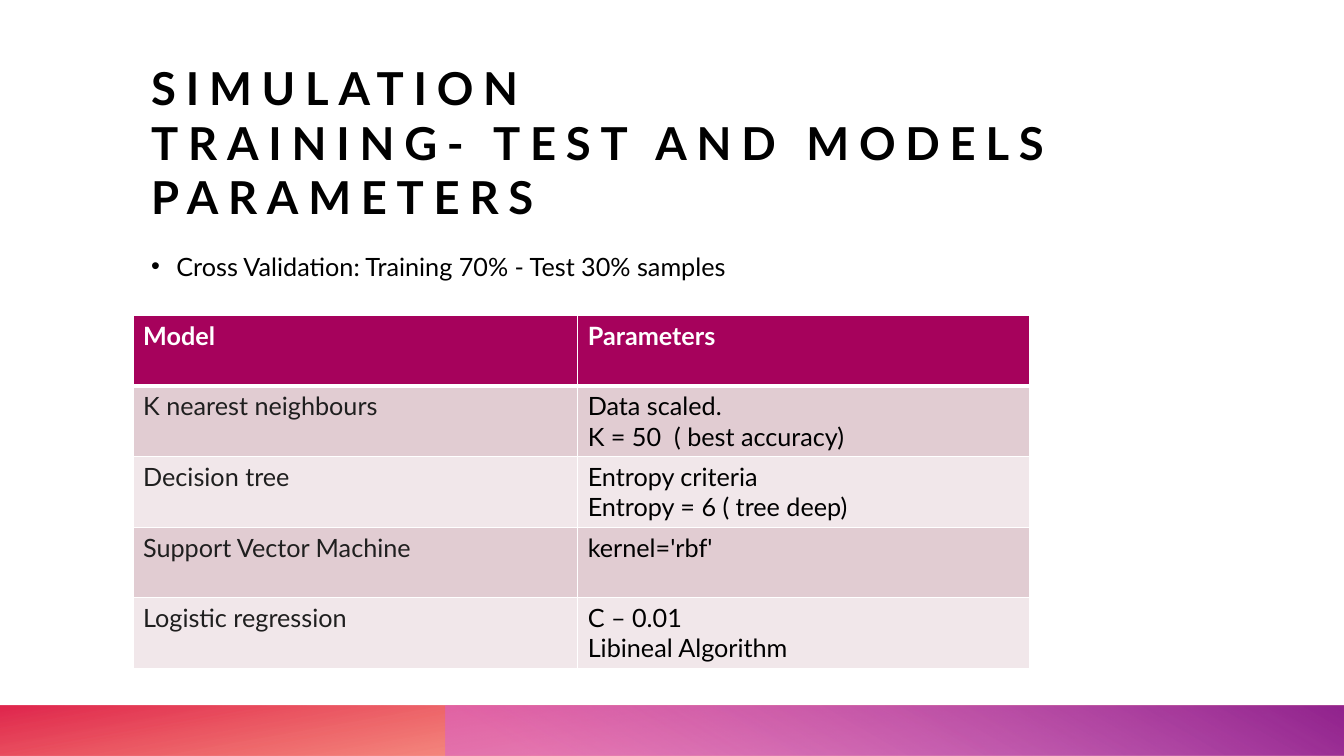
from lxml import etree
from pptx import Presentation
from pptx.dml.color import RGBColor
from pptx.enum import shapes, text
from pptx.oxml import ns
from pptx.util import Inches, Pt

# Content
TITLE = ["SIMULATION", "TRAINING- TEST AND MODELS PARAMETERS"]
BULLET = "Cross Validation: Training 70% - Test 30% samples"
ROWS = [
    ("Model", ["Parameters"]),
    ("K nearest neighbours", ["Data scaled.", "K = 50  ( best accuracy)"]),
    ("Decision tree", ["Entropy criteria", "Entropy = 6 ( tree deep)"]),
    ("Support Vector Machine", ["kernel='rbf'"]),
    ("Logistic regression", ["C – 0.01", "Libineal Algorithm"]),
]
COL_WIDTHS = [4.41, 4.48]
ROW_HEIGHT = 0.7
# Footer bands: left, width, rotation, angle, stops (position, colour, opacity)
BANDS = [
    (0, 13.33, 180, 100, [(14, "FE4A00", 28), (100, "DA002F", 85)]),
    (4.42, 8.92, 0, 240, [(9, "D861D4", 55), (99, "92248E", 100)]),
]

FONT = "Lato"
BLACK = RGBColor(0, 0, 0)
WHITE = RGBColor(0xFF, 0xFF, 0xFF)
DARK = RGBColor(0x1F, 0x1F, 0x1F)
HEADER = RGBColor(0xA6, 0x02, 0x5C)
STRIPES = [RGBColor(0xF1, 0xE7, 0xEA), RGBColor(0xE1, 0xCC, 0xD2)]


def sub(parent, tag, **attrs):
    return etree.SubElement(parent, ns.qn(tag), {k: str(v) for k, v in attrs.items()})


def add_run(p, words, size, color, bold=False):
    r = p.add_run()
    r.text = words
    r.font.name, r.font.size, r.font.bold = FONT, Pt(size), bold
    r.font.color.rgb = color
    return r


def clear_margins(tf):
    tf.word_wrap = True
    tf.margin_left = tf.margin_top = tf.margin_right = tf.margin_bottom = 0


def add_band(s, left, width, rotation, angle, stops):
    sp = s.shapes.add_shape(shapes.MSO_SHAPE.RECTANGLE, Inches(left), Inches(7),
                            Inches(width), Inches(0.5))
    sp.shadow.inherit = False
    sp.line.fill.background()
    sp.rotation = rotation
    sp_pr = sp._element.spPr
    sp_pr.find(ns.qn("a:xfrm")).set("flipH", "1")
    grad = etree.Element(ns.qn("a:gradFill"), rotWithShape="1")
    gs_list = sub(grad, "a:gsLst")
    for position, color, opacity in stops:
        gs = sub(gs_list, "a:gs", pos=position * 1000)
        sub(sub(gs, "a:srgbClr", val=color), "a:alpha", val=opacity * 1000)
    sub(grad, "a:lin", ang=angle * 60000, scaled=0)
    sp_pr.find(ns.qn("a:prstGeom")).addnext(grad)


def set_borders(cell, bottom):
    tc_pr = cell._tc.get_or_add_tcPr()
    widths = [("a:lnL", 1), ("a:lnR", 1), ("a:lnT", 1), ("a:lnB", bottom)]
    for i, (tag, width) in enumerate(widths):
        ln = etree.Element(ns.qn(tag), w=str(Pt(width)))
        sub(sub(ln, "a:solidFill"), "a:srgbClr", val=str(WHITE))
        tc_pr.insert(i, ln)


def main():
    prs = Presentation()
    prs.slide_width, prs.slide_height = Inches(13.33), Inches(7.5)
    s = prs.slides.add_slide(prs.slide_layouts[5])

    # Footer
    for band in BANDS:
        add_band(s, *band)

    # Title
    title = s.shapes.title
    title.left, title.top = Inches(1.5), Inches(0.87)
    title.width, title.height = Inches(11.2), Inches(1.35)
    tf = title.text_frame
    clear_margins(tf)
    tf.auto_size = text.MSO_AUTO_SIZE.NONE
    tf.vertical_anchor = text.MSO_ANCHOR.BOTTOM
    p = tf.paragraphs[0]
    p.alignment = text.PP_ALIGN.LEFT
    for i, line in enumerate(TITLE):
        if i:
            p.add_line_break()
        r = add_run(p, line, 32.4, BLACK, True)
        r.font._element.set("spc", "700")

    # Bullet
    box = s.shapes.add_textbox(Inches(1.5), Inches(2.43), Inches(11.2), Inches(0.5))
    clear_margins(box.text_frame)
    p = box.text_frame.paragraphs[0]
    p.line_spacing, p.space_before = 1.2, Pt(10)
    p_pr = p._p.get_or_add_pPr()
    p_pr.set("marL", str(Inches(0.25)))
    p_pr.set("indent", str(-Inches(0.25)))
    sub(p_pr, "a:buFont", typeface="Arial")
    sub(p_pr, "a:buChar", char="•")
    add_run(p, BULLET, 18, BLACK)

    # Table
    table = s.shapes.add_table(len(ROWS), len(COL_WIDTHS), Inches(1.32), Inches(3.13),
                               Inches(sum(COL_WIDTHS)),
                               Inches(ROW_HEIGHT * len(ROWS))).table
    for col, width in zip(table.columns, COL_WIDTHS):
        col.width = Inches(width)
    for i, (model, parameters) in enumerate(ROWS):
        table.rows[i].height = Inches(ROW_HEIGHT)
        for j, lines in enumerate([[model], parameters]):
            cell = table.cell(i, j)
            cell.fill.solid()
            cell.fill.fore_color.rgb = STRIPES[i % 2] if i else HEADER
            set_borders(cell, 1 if i else 3)
            color = (DARK, BLACK)[j] if i else WHITE
            tf = cell.text_frame
            for k, line in enumerate(lines):
                p = tf.add_paragraph() if k else tf.paragraphs[0]
                add_run(p, line, 18, color, i == 0)

    prs.save("out.pptx")


if __name__ == "__main__":
    main()
